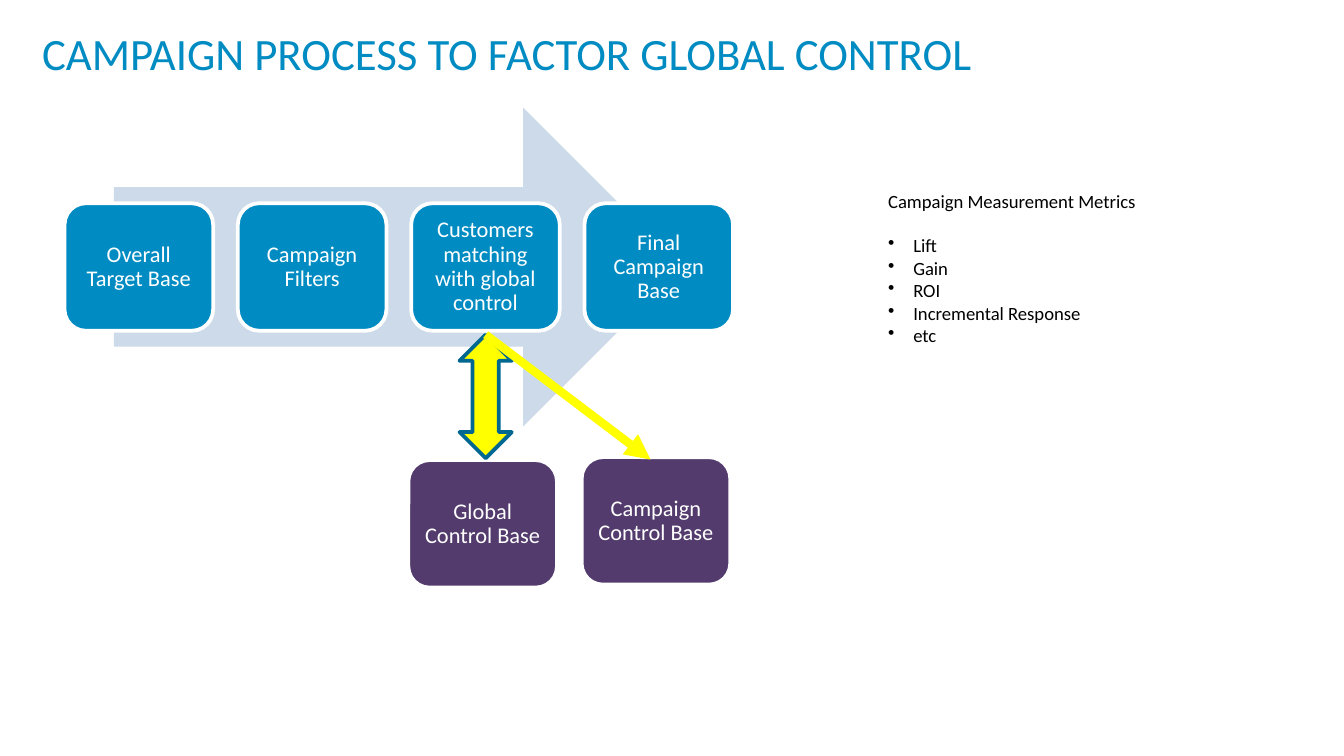
from pptx import Presentation
from pptx.dml.color import RGBColor
from pptx.enum.shapes import MSO_CONNECTOR, MSO_SHAPE
from pptx.enum.text import MSO_ANCHOR, PP_ALIGN
from pptx.oxml.ns import qn
from pptx.util import Pt
from lxml.etree import SubElement

COLORS = {
    "blue": "008CC2", "pale": "CCDAE9", "plum": "533C6D", "teal": "006890",
    "yellow": "FFFF00", "white": "FFFFFF", "black": "000000",
}

deck = Presentation()
deck.slide_width, deck.slide_height = Pt(720), Pt(405)
slide = deck.slides.add_slide(deck.slide_layouts[6])


def add_shape(kind, left, top, width, height, fill, line=None):
    shape = slide.shapes.add_shape(kind, Pt(left), Pt(top), Pt(width), Pt(height))
    shape.shadow.inherit = False
    shape.fill.solid()
    shape.fill.fore_color.rgb = RGBColor.from_string(COLORS[fill])
    if line:
        shape.line.color.rgb = RGBColor.from_string(COLORS[line])
        shape.line.width = Pt(2)
    else:
        shape.line.fill.background()
    return shape


def set_font(para, size, color):
    para.font.name = "Calibri"
    para.font.size = Pt(size)
    para.font.color.rgb = RGBColor.from_string(COLORS[color])


# Title
title = slide.shapes.add_textbox(Pt(22.5), Pt(13.7), Pt(696), Pt(36.7)).text_frame
title.word_wrap = True
title.margin_left = title.margin_right = title.margin_top = 0
title.text = "CAMPAIGN PROCESS TO FACTOR GLOBAL CONTROL"
set_font(title.paragraphs[0], 24, "blue")

# Process arrow behind the steps
add_shape(MSO_SHAPE.RIGHT_ARROW, 61, 57.6, 304.7, 170.8, "pale")

# Process steps, then the control bases below them
left, step = 34.6, 92.85
boxes = [
    ("Overall Target Base", left, 108.9, "blue"),
    ("Campaign Filters", left + step, 108.9, "blue"),
    ("Customers matching with global control", left + 2 * step, 108.9, "blue"),
    ("Final Campaign Base", left + 3 * step, 108.9, "blue"),
    ("Global Control Base", left + 2 * step - 1.5, 246.5, "plum"),
    ("Campaign Control Base", left + 3 * step - 1.5, 244.9, "plum"),
]
for label, x, y, fill in boxes:
    box = add_shape(MSO_SHAPE.ROUNDED_RECTANGLE, x, y, 79.6, 68.3, fill, "white")
    frame = box.text_frame
    frame.word_wrap = True
    frame.vertical_anchor = MSO_ANCHOR.MIDDLE
    frame.margin_left = frame.margin_right = Pt(3.8)
    frame.margin_top = frame.margin_bottom = Pt(3.8)
    frame.text = label
    para = frame.paragraphs[0]
    para.alignment = PP_ALIGN.CENTER
    para.line_spacing = 0.9
    set_font(para, 12, "white")

# Links to the control bases
add_shape(MSO_SHAPE.UP_DOWN_ARROW, 246.2, 179.3, 28, 66.2, "yellow", "teal")
link = slide.shapes.add_connector(
    MSO_CONNECTOR.STRAIGHT, Pt(260.2), Pt(179.3), Pt(348.5), Pt(246.2))
link.line.color.rgb = RGBColor.from_string(COLORS["yellow"])
link.line.width = Pt(4.5)
SubElement(link.line._get_or_add_ln(), qn("a:tailEnd"), type="triangle")
SubElement(link._element.spPr, qn("a:effectLst"))

# Metrics list
notes = slide.shapes.add_textbox(Pt(468.7), Pt(97.9), Pt(188.6), Pt(92.2)).text_frame
notes.word_wrap = True
notes.text = "Campaign Measurement Metrics"
head = notes.paragraphs[0]
head.space_after = Pt(12)
set_font(head, 10, "black")
for metric in ("Lift", "Gain", "ROI", "Incremental Response", "etc"):
    para = notes.add_paragraph()
    para.text = metric
    set_font(para, 10, "black")
    props = para._p.get_or_add_pPr()
    props.set("marL", str(Pt(13.5)))
    props.set("indent", str(-Pt(13.5)))
    bullet = props.makeelement(qn("a:buChar"), {"char": "•"})
    props.insert(0, bullet)

deck.save("out.pptx")
